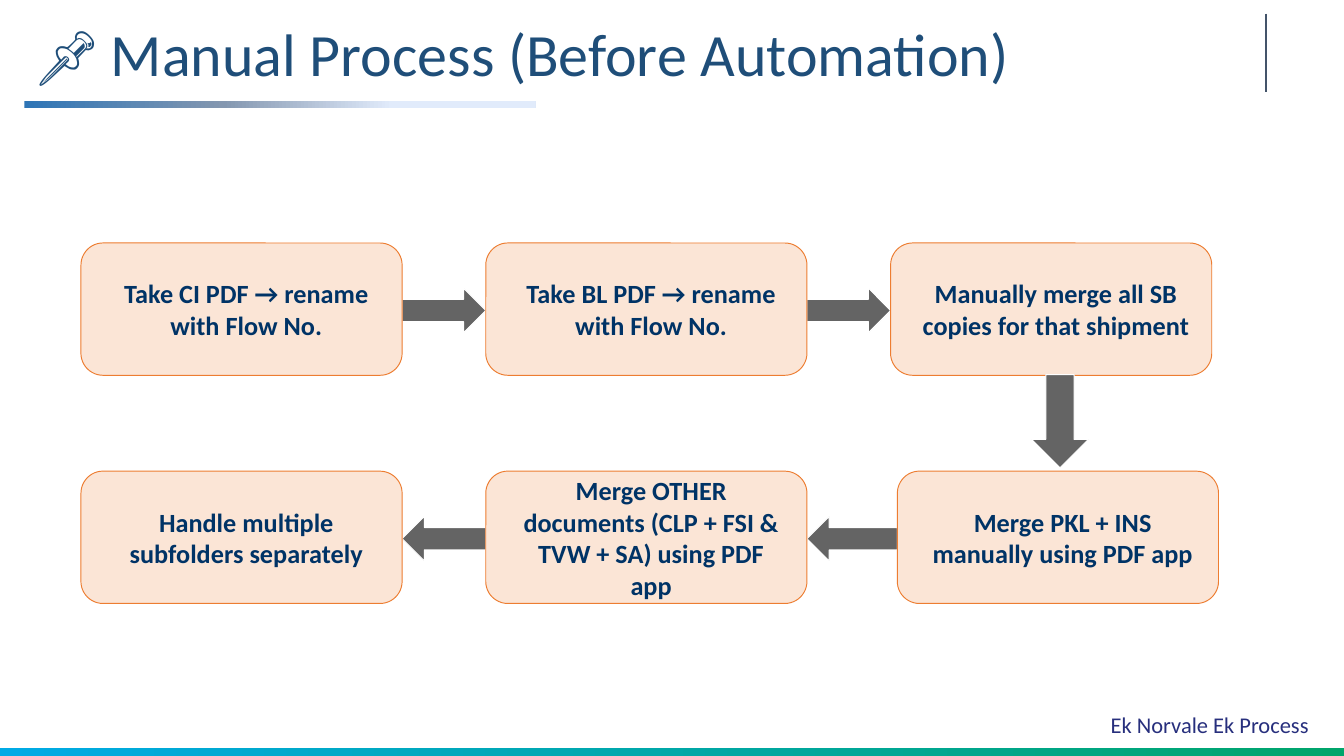
"""Builds the slide showing the manual process as a flow of six steps."""
from lxml import etree
from pptx import Presentation
from pptx.dml.color import RGBColor
from pptx.enum import shapes, text
from pptx.oxml import ns
from pptx.util import Inches, Pt

TITLE_BLUE = RGBColor(0x1F, 0x4E, 0x79)
STEP_TEXT = RGBColor(0x00, 0x33, 0x66)
STEP_FILL = RGBColor(0xFB, 0xE5, 0xD6)
STEP_LINE = RGBColor(0xED, 0x7D, 0x31)
ARROW_GREY = RGBColor(0x64, 0x64, 0x64)
WHITE = RGBColor(0xFF, 0xFF, 0xFF)
SLATE = RGBColor(0x44, 0x54, 0x6A)
TAGLINE_BLUE = RGBColor(0x27, 0x2F, 0x7D)
FOOTER_STOPS = [(0, RGBColor(0x00, 0xAA, 0xE5)), (100, RGBColor(0x00, 0xA5, 0x6B))]
TITLE_STOPS = [(0, RGBColor(0x2E, 0x75, 0xB6)), (39, RGBColor(0x84, 0x97, 0xB0)),
               (72, RGBColor(0xE1, 0xEB, 0xFB))]

STEP_W, STEP_H = 2.38, 0.98
ARROW_H = 0.33
TOP_ROW, BOTTOM_ROW = 1.8, 3.49
TOP_LEFTS = [0.6, 3.6, 6.6]
BOTTOM_LEFTS = [0.6, 3.6, 6.65]
TOP_STEPS = ["Take CI PDF → rename with Flow No.",
             "Take BL PDF → rename with Flow No.",
             "Manually merge all SB copies for that shipment"]
BOTTOM_STEPS = ["Handle multiple subfolders separately",
                "Merge OTHER documents (CLP + FSI & TVW + SA) using PDF app",
                "Merge PKL + INS manually using PDF app"]


def write(sp, words, size, color, bold=False, align=text.PP_ALIGN.LEFT,
          anchor=text.MSO_ANCHOR.MIDDLE, insets=(0.1, 0.05, 0.1, 0.05), spacing=None):
    tf = sp.text_frame
    tf.word_wrap = True
    tf.auto_size = text.MSO_AUTO_SIZE.NONE
    tf.vertical_anchor = anchor
    tf.margin_left, tf.margin_top, tf.margin_right, tf.margin_bottom = map(Inches, insets)
    p = tf.paragraphs[0]
    p.alignment = align
    p.line_spacing = spacing
    r = p.add_run()
    r.text = words
    r.font.name = "Calibri"
    r.font.size = Pt(size)
    r.font.bold = bold
    r.font.color.rgb = color


def add_block(s, kind, box, fill, line):
    sp = s.shapes.add_shape(kind, *map(Inches, box))
    sp.shadow.inherit = False
    sp.fill.solid()
    sp.fill.fore_color.rgb = fill
    sp.line.color.rgb = line
    sp.line.width = Pt(0.5)
    return sp


def add_step(s, left, top, words):
    sp = add_block(s, shapes.MSO_SHAPE.ROUNDED_RECTANGLE, (left, top, STEP_W, STEP_H),
                   STEP_FILL, STEP_LINE)
    write(sp, words, 14, STEP_TEXT, bold=True, align=text.PP_ALIGN.CENTER,
          insets=(0.17, 0.05, 0.1, 0.05))


def add_arrow(s, box, rotation=0):
    sp = add_block(s, shapes.MSO_SHAPE.RIGHT_ARROW, box, ARROW_GREY, WHITE)
    sp.rotation = rotation


def add_row(s, top, lefts, steps, rotation):
    for left, following in zip(lefts, lefts[1:]):
        start = left + STEP_W
        add_arrow(s, (start, top + (STEP_H - ARROW_H) / 2 + 0.01,
                      following - start, ARROW_H), rotation)
    for left, words in zip(lefts, steps):
        add_step(s, left, top, words)


def add_gradient_bar(s, box, stops):
    sp = s.shapes.add_shape(shapes.MSO_SHAPE.RECTANGLE, *map(Inches, box))
    sp.shadow.inherit = False
    sp.line.fill.background()
    sp.fill.gradient()
    sp.fill.gradient_angle = 0
    stop_list = sp._element.spPr.find(".//" + ns.qn("a:gsLst"))
    for old in list(stop_list):
        stop_list.remove(old)
    for position, color in stops:
        gs = etree.SubElement(stop_list, ns.qn("a:gs"), pos=str(position * 1000))
        etree.SubElement(gs, ns.qn("a:srgbClr"), val=str(color))


def add_rule(s, x, top, bottom):
    line = s.shapes.add_connector(shapes.MSO_CONNECTOR.STRAIGHT,
                                  Inches(x), Inches(top), Inches(x), Inches(bottom))
    line.line.color.rgb = SLATE
    line.line.width = Pt(1)
    etree.SubElement(line._element.spPr, ns.qn("a:effectLst"))


def add_title(s, words):
    sp = s.shapes.title
    sp.left, sp.top, sp.width, sp.height = map(Inches, (0.18, 0.12, 7.8, 0.61))
    write(sp, words, 32, TITLE_BLUE, spacing=0.9)


def add_tagline(s, words):
    sp = s.shapes.add_textbox(*map(Inches, (7.41, 5.27, 2.29, 0.2)))
    write(sp, words, 12, TAGLINE_BLUE, align=text.PP_ALIGN.RIGHT,
          anchor=text.MSO_ANCHOR.TOP, insets=(0, 0, 0, 0))


def main():
    prs = Presentation()
    prs.slide_width, prs.slide_height = Inches(9.96), Inches(5.6)
    s = prs.slides.add_slide(prs.slide_layouts[5])
    add_gradient_bar(s, (0, 5.54, 9.96, 0.06), FOOTER_STOPS)
    add_rule(s, 9.38, 0.1, 0.68)
    add_tagline(s, "Ek Norvale Ek Process")
    add_gradient_bar(s, (0.18, 0.75, 3.79, 0.05), TITLE_STOPS)
    add_title(s, "📌 Manual Process (Before Automation)")
    add_row(s, BOTTOM_ROW, BOTTOM_LEFTS, BOTTOM_STEPS, 180)
    add_row(s, TOP_ROW, TOP_LEFTS, TOP_STEPS, 0)
    add_arrow(s, (7.51, 2.91, 0.69, 0.42), 90)
    prs.save("out.pptx")


if __name__ == "__main__":
    main()
